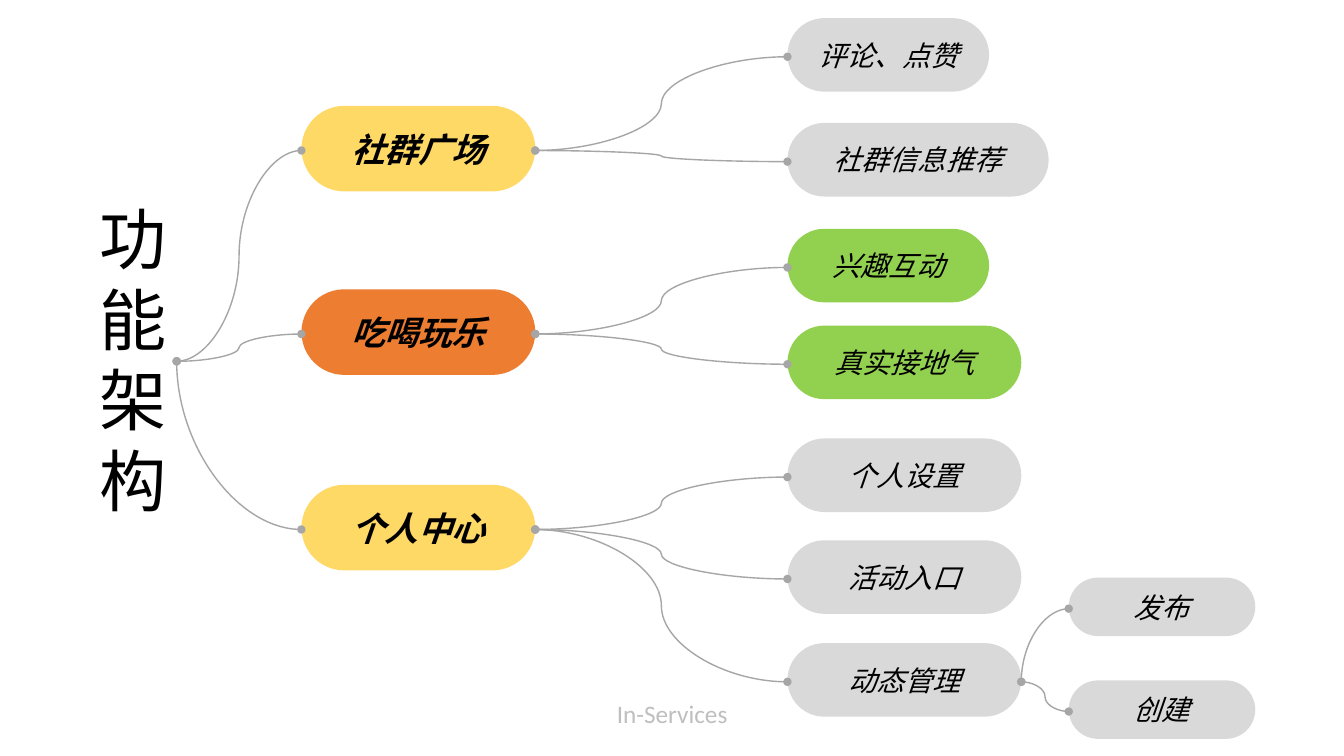
from dataclasses import dataclass

from lxml.etree import SubElement
from pptx import Presentation
from pptx.dml.color import RGBColor
from pptx.enum.shapes import MSO_CONNECTOR, MSO_SHAPE
from pptx.enum.text import MSO_ANCHOR, MSO_AUTO_SIZE, PP_ALIGN
from pptx.oxml.ns import qn
from pptx.util import Inches, Pt

# Grid: 100 columns by 100 rows
WIDE, HIGH = Inches(13.33), Inches(7.5)


def col(n):
    return int(WIDE * n / 100)


def row(n):
    return int(HIGH * n / 100)


@dataclass(frozen=True)
class Theme:
    han: str = "Noto Sans CJK SC"
    latin: str = "Calibri"
    ink: str = "000000"
    faint: str = "BFBFBF"
    wire: str = "A6A6A6"
    gold: str = "FFD966"
    orange: str = "ED7D31"
    green: str = "92D050"
    grey: str = "D9D9D9"
    title: int = 48
    main: int = 24
    leaf: int = 20
    foot: int = 18


THEME = Theme()


@dataclass(frozen=True)
class Node:
    text: str
    top: float
    wide: float
    fill: str
    kids: tuple = ()
    arc: bool = False  # quarter curve instead of an S curve


@dataclass(frozen=True)
class Level:
    left: float
    high: float
    size: int
    bold: bool = False


LEVELS = (
    Level(22.43, 11.33, THEME.main, True),
    Level(58.59, 9.73, THEME.leaf),
    Level(79.52, 7.73, THEME.leaf),
)

TREE = (
    Node("社群广场", 14, 17.4, THEME.gold, (
        Node("评论、点赞", 2.4, 15, THEME.grey),
        Node("社群信息推荐", 16.27, 19.43, THEME.grey),
    )),
    Node("吃喝玩乐", 38.27, 17.4, THEME.orange, (
        Node("兴趣互动", 30.27, 15, THEME.green),
        Node("真实接地气", 43.07, 17.4, THEME.green),
    )),
    Node("个人中心", 64.13, 17.4, THEME.gold, (
        Node("个人设置", 58, 17.4, THEME.grey),
        Node("活动入口", 71.47, 17.4, THEME.grey),
        Node("动态管理", 85.07, 17.4, THEME.grey, (
            Node("发布", 76.4, 13.88, THEME.grey, arc=True),
            Node("创建", 90, 13.88, THEME.grey),
        )),
    ), arc=True),
)
ROOT = (13.15, 47.8)  # where the main branches start
DROP = 0.25           # joints sit slightly below the pill's middle


def write(para, text, size, face, ink, bold=None, slant=None):
    run = para.add_run()
    run.text = text
    font = run.font
    font.size, font.name = Pt(size), face
    font.bold, font.italic = bold, slant
    font.color.rgb = RGBColor.from_string(ink)
    SubElement(font._element, qn("a:ea")).set("typeface", face)


def label(slide, box, lines, size, face, ink):
    left, top, wide, high = box
    shape = slide.shapes.add_textbox(col(left), row(top), col(wide), row(high))
    frame = shape.text_frame
    frame.word_wrap = False
    frame.auto_size = MSO_AUTO_SIZE.SHAPE_TO_FIT_TEXT
    for i, line in enumerate(lines):
        para = frame.add_paragraph() if i else frame.paragraphs[0]
        write(para, line, size, face, ink)


def pill(slide, node, level):
    shape = slide.shapes.add_shape(
        MSO_SHAPE.ROUNDED_RECTANGLE,
        col(level.left), row(node.top), col(node.wide), row(level.high))
    shape.adjustments[0] = 0.5
    shape.shadow.inherit = False
    shape.fill.solid()
    shape.fill.fore_color.rgb = RGBColor.from_string(node.fill)
    shape.line.fill.background()
    frame = shape.text_frame
    frame.word_wrap = True
    frame.vertical_anchor = MSO_ANCHOR.MIDDLE
    para = frame.paragraphs[0]
    para.alignment = PP_ALIGN.CENTER
    write(para, node.text, level.size, THEME.han, THEME.ink,
          level.bold, True)


def link(slide, start, end, arc):
    # An arc runs from the child, so that it meets the parent upright
    if arc:
        start, end = end, start
    wire = slide.shapes.add_connector(
        MSO_CONNECTOR.CURVE,
        col(start[0]), row(start[1]), col(end[0]), row(end[1]))
    wire.line.width = Pt(1)
    wire.line.color.rgb = RGBColor.from_string(THEME.wire)
    props = wire._element.spPr
    if arc:
        props.find(qn("a:prstGeom")).set("prst", "curvedConnector2")
    for tag in ("a:headEnd", "a:tailEnd"):
        SubElement(props.find(qn("a:ln")), qn(tag)).set("type", "oval")
    SubElement(props, qn("a:effectLst"))


def branch(slide, nodes, start, depth=0):
    for node in nodes:
        level = LEVELS[depth]
        pill(slide, node, level)
        mid = node.top + level.high / 2 + DROP
        link(slide, start, (level.left, mid), node.arc)
        branch(slide, node.kids, (level.left + node.wide, mid), depth + 1)


def main():
    deck = Presentation()
    deck.slide_width, deck.slide_height = WIDE, HIGH
    slide = deck.slides.add_slide(deck.slide_layouts[6])

    # Title, one character a line
    label(slide, (6.68, 25.47, 6.53, 44.4), "功能架构",
          THEME.title, THEME.han, THEME.ink)
    # Mind map
    branch(slide, TREE, ROOT)
    # Footer
    label(slide, (45.16, 91.73, 9.75, 5.33), ["In-Services"],
          THEME.foot, THEME.latin, THEME.faint)

    deck.save("out.pptx")


if __name__ == "__main__":
    main()
